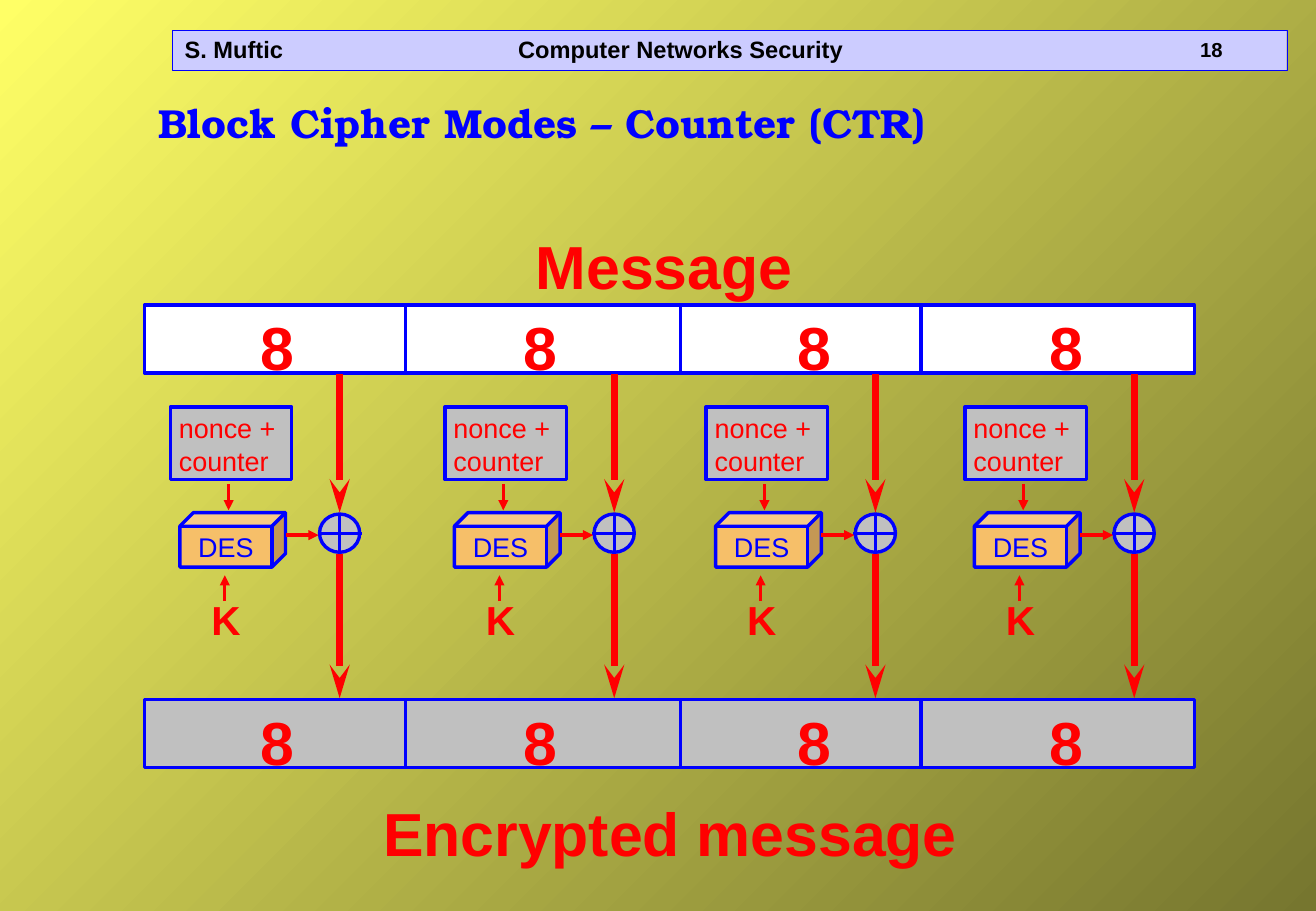
import pptx
import pptx.dml.color
import pptx.enum.shapes
import pptx.enum.text
import pptx.util
from lxml import etree
from pptx.util import Cm

# Content; all lengths are in centimetres
AUTHOR, COURSE, PAGE = "S. Muftic", "Computer Networks Security", "18"
TITLE = "Block Cipher Modes – Counter (CTR)"
CAPTIONS = [("Message", (10.95, 4.65, 5.87, 1.78)),
            ("Encrypted message", (7.75, 16.51, 12.52, 1.78))]
BLOCK_SIZE, COUNTER, CIPHER, KEY = "8", "nonce + counter", "DES", "K"

BAR_LEFT, BAR_WIDTH, BAR_HEIGHT = 3.02, 21.95, 1.42
MESSAGE_TOP, ENCRYPTED_TOP = 6.38, 14.63
DIVIDERS = [8.48, 14.22, 19.25]
BLOCK_CENTRES = [5.79, 11.3, 17.02, 22.3]
STAGE_LEFTS = [3.76, 9.5, 14.96, 20.37]

THEME = {
    "font": "Arial", "title_font": "TeX Gyre Bonum",
    "blue": "0000FF", "red": "FF0000", "black": "000000", "white": "FFFFFF",
    "grey": "C0C0C0", "orange": "F6BF69", "header": "CCCCFF",
    "bg_dark": "76762F", "bg_light": "FFFF66",
    "page": 12, "head": 14, "label": 16, "title": 24, "caption": 36,
    "hairline": 0.25, "line": 2, "flow": 4,
}
SHAPE = pptx.enum.shapes.MSO_SHAPE
ALIGN = pptx.enum.text.PP_ALIGN
ANCHOR = pptx.enum.text.MSO_ANCHOR


def rgb(name):
    return pptx.dml.color.RGBColor.from_string(THEME[name])


def set_text(s, text, size, color, bold=True, font="font", align=ALIGN.LEFT,
             anchor=ANCHOR.TOP, wrap=False, insets=(0.25, 0.13), tab=None):
    tf = s.text_frame
    tf.text = text
    tf.word_wrap = wrap
    tf.vertical_anchor = anchor
    tf.margin_left = tf.margin_right = Cm(insets[0])
    tf.margin_top = tf.margin_bottom = Cm(insets[1])
    p = tf.paragraphs[0]
    p.alignment = align
    if tab:
        tabs = etree.SubElement(p._p.get_or_add_pPr(), pptx.oxml.ns.qn("a:tabLst"))
        etree.SubElement(tabs, pptx.oxml.ns.qn("a:tab"), pos=str(Cm(tab)), algn="l")
    for r in p.runs:
        r.font.name = THEME[font]
        r.font.size = pptx.util.Pt(THEME[size])
        r.font.bold = bold
        r.font.color.rgb = rgb(color)


def add_text(slide, box, text, size, color, **options):
    s = slide.shapes.add_textbox(*map(Cm, box))
    set_text(s, text, size, color, **options)


def add_shape(slide, kind, box, fill, weight="line"):
    s = slide.shapes.add_shape(kind, *map(Cm, box))
    s.shadow.inherit = False
    s.fill.solid()
    s.fill.fore_color.rgb = rgb(fill)
    s.line.color.rgb = rgb("blue")
    s.line.width = pptx.util.Pt(THEME[weight])
    return s


def add_line(slide, start, end, color, weight="line", head=None, length="med"):
    s = slide.shapes.add_connector(pptx.enum.shapes.MSO_CONNECTOR.STRAIGHT,
                                   *map(Cm, start + end))
    s.line.color.rgb = rgb(color)
    s.line.width = pptx.util.Pt(THEME[weight])
    if head:
        etree.SubElement(s.line._get_or_add_ln(), pptx.oxml.ns.qn("a:tailEnd"),
                         type=head, w="med", len=length)
    etree.SubElement(s._element.spPr, pptx.oxml.ns.qn("a:effectLst"))


def add_block_bar(slide, top, fill):
    """Draw a message bar divided into numbered blocks."""
    add_shape(slide, SHAPE.RECTANGLE, (BAR_LEFT, top, BAR_WIDTH, BAR_HEIGHT), fill)
    for x in DIVIDERS:
        add_line(slide, (x, top - 0.03), (x, top + BAR_HEIGHT + 0.03), "blue")
    for x in BLOCK_CENTRES:
        add_text(slide, (x - 0.79, top - 0.03, 1.58, 1.78), BLOCK_SIZE,
                 "caption", "red", align=ALIGN.CENTER)


def add_stage(slide, left):
    """Draw the encryption of one block: counter, cipher, key and XOR."""
    xor_x, xor_y = left + 3.34, 11.15
    counter = add_shape(slide, SHAPE.RECTANGLE, (left - 0.2, 8.51, 2.54, 1.52), "grey")
    set_text(counter, COUNTER, "label", "red", bold=False, wrap=True, insets=(0.18, 0.1))
    cube = add_shape(slide, SHAPE.CUBE, (left, 10.72, 2.21, 1.14), "orange")
    set_text(cube, CIPHER, "label", "blue", bold=False, align=ALIGN.CENTER,
             anchor=ANCHOR.MIDDLE, insets=(0, 0))
    add_text(slide, (left + 0.41, 12.32, 1.47, 1.17), KEY, "title", "red")

    add_shape(slide, SHAPE.OVAL, (xor_x - 0.42, xor_y - 0.4, 0.84, 0.8), "grey")
    add_line(slide, (xor_x, xor_y - 0.43), (xor_x, xor_y + 0.43), "blue")
    add_line(slide, (xor_x - 0.46, xor_y), (xor_x + 0.46, xor_y), "blue")

    for start, end in [((left + 1.02, 10.13), (left + 1.02, 10.67)),
                       ((left + 0.94, 12.57), (left + 0.94, 12.03)),
                       ((left + 2.21, 11.19), (left + 2.9, 11.19))]:
        add_line(slide, start, end, "red", head="triangle")
    for y1, y2 in [(MESSAGE_TOP + BAR_HEIGHT + 0.03, xor_y - 0.43),
                   (xor_y + 0.43, ENCRYPTED_TOP - 0.03)]:
        add_line(slide, (xor_x, y1), (xor_x, y2), "red", "flow", "stealth", "lg")


def main():
    prs = pptx.Presentation()
    prs.slide_width, prs.slide_height = Cm(27.51), Cm(19.05)
    slide = prs.slides.add_slide(prs.slide_layouts[6])

    fill = slide.background.fill
    fill.gradient()
    fill.gradient_angle = 135
    for stop, color, position in zip(fill.gradient_stops, ("bg_dark", "bg_light"), (0, 1)):
        stop.color.rgb = rgb(color)
        stop.position = position

    header = add_shape(slide, SHAPE.RECTANGLE, (3.61, 0.64, 23.29, 0.84),
                       "header", "hairline")
    set_text(header, f"{AUTHOR}\t{COURSE}", "head", "black", wrap=True,
             anchor=ANCHOR.MIDDLE, tab=6.97)
    header.text_frame.paragraphs[0].line_spacing = 0.9
    add_text(slide, (24.84, 0.66, 2.54, 0.76), PAGE, "page", "black", wrap=True)
    add_text(slide, (3.07, 1.93, 16.54, 1.27), TITLE, "title", "blue", font="title_font")
    for text, box in CAPTIONS:
        add_text(slide, box, text, "caption", "red", align=ALIGN.CENTER)

    add_block_bar(slide, MESSAGE_TOP, "white")
    add_block_bar(slide, ENCRYPTED_TOP, "grey")
    for left in STAGE_LEFTS:
        add_stage(slide, left)
    prs.save("out.pptx")


if __name__ == "__main__":
    main()
